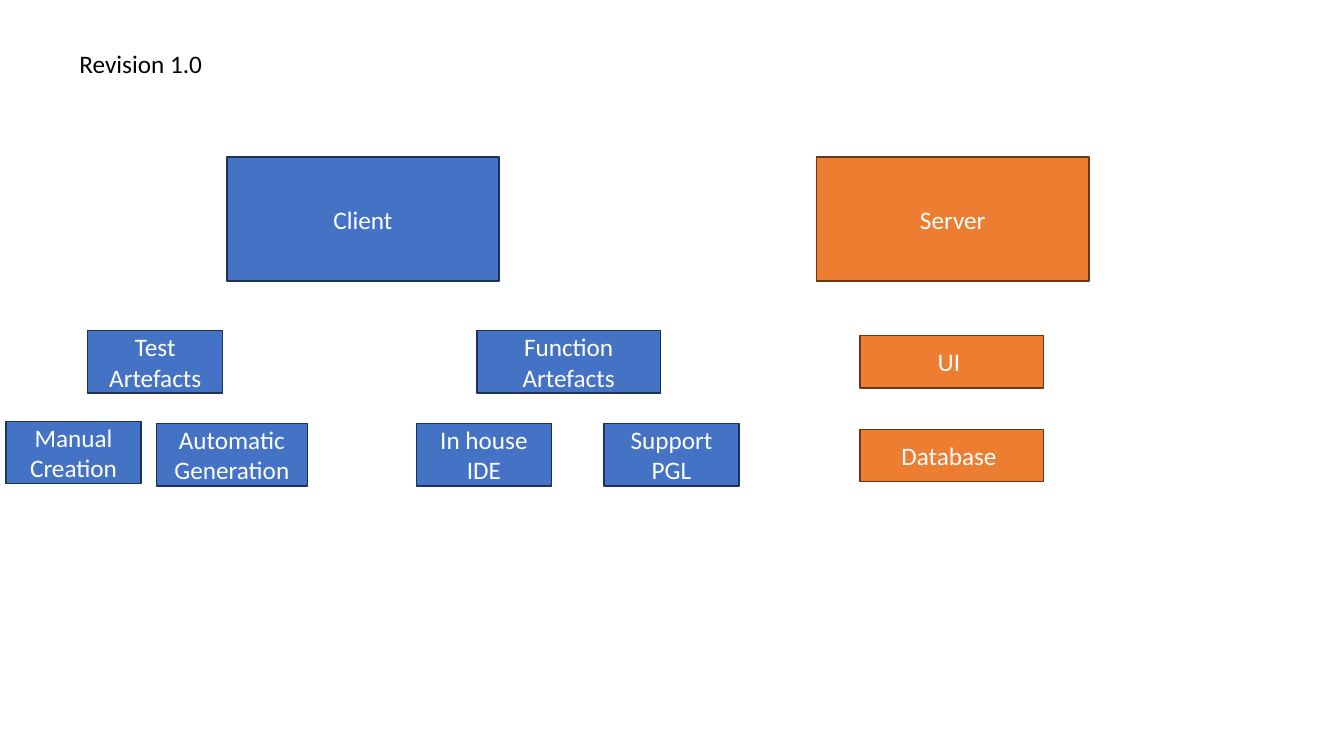
import pptx
import pptx.util
import pptx.dml.color
import pptx.enum.shapes
import pptx.enum.text

Inches = pptx.util.Inches
RGBColor = pptx.dml.color.RGBColor
MSO_ANCHOR = pptx.enum.text.MSO_ANCHOR
PP_ALIGN = pptx.enum.text.PP_ALIGN

BLUE = RGBColor(0x44, 0x72, 0xC4)
NAVY = RGBColor(0x1E, 0x32, 0x56)
ORANGE = RGBColor(0xED, 0x7D, 0x31)
BROWN = RGBColor(0x68, 0x37, 0x15)
WHITE = RGBColor(0xFF, 0xFF, 0xFF)
BLACK = RGBColor(0x00, 0x00, 0x00)

FONT = {"name": "Calibri", "size": pptx.util.Pt(18)}

CLIENT_BOXES = [
    ("Client", 2.25, 1.56, 2.7, 1.23),
    ("Test Artefacts", 0.87, 3.28, 1.34, 0.62),
    ("Function Artefacts", 4.73, 3.28, 1.82, 0.62),
    ("Manual Creation", 0.06, 4.18, 1.34, 0.62),
    ("Automatic Generation", 1.55, 4.2, 1.5, 0.62),
    ("In house IDE", 4.13, 4.2, 1.34, 0.62),
    ("Support PGL", 5.99, 4.2, 1.34, 0.62),
]
SERVER_BOXES = [
    ("Server", 8.1, 1.56, 2.7, 1.23),
    ("UI ", 8.53, 3.33, 1.82, 0.52),
    ("Database ", 8.53, 4.26, 1.82, 0.52),
]


def write_text(tf, text, color, align):
    p = tf.paragraphs[0]
    p.alignment = align
    r = p.add_run()
    r.text = text
    for key, value in FONT.items():
        setattr(r.font, key, value)
    r.font.color.rgb = color


def add_box(s, text, left, top, width, height, fill, line):
    sp = s.shapes.add_shape(
        pptx.enum.shapes.MSO_SHAPE.RECTANGLE,
        Inches(left), Inches(top), Inches(width), Inches(height),
    )
    sp.shadow.inherit = False
    sp.fill.solid()
    sp.fill.fore_color.rgb = fill
    sp.line.color.rgb = line
    sp.line.width = pptx.util.Pt(1)
    tf = sp.text_frame
    tf.word_wrap = True
    tf.vertical_anchor = MSO_ANCHOR.MIDDLE
    write_text(tf, text, WHITE, PP_ALIGN.CENTER)


def add_label(s, text, left, top, width, height):
    sp = s.shapes.add_textbox(
        Inches(left), Inches(top), Inches(width), Inches(height)
    )
    tf = sp.text_frame
    tf.word_wrap = False
    tf.auto_size = pptx.enum.text.MSO_AUTO_SIZE.SHAPE_TO_FIT_TEXT
    write_text(tf, text, BLACK, PP_ALIGN.LEFT)


def main():
    prs = pptx.Presentation()
    prs.slide_width = Inches(13.33)
    prs.slide_height = Inches(7.5)
    s = prs.slides.add_slide(prs.slide_layouts[6])
    add_label(s, "Revision 1.0", 0.69, 0.43, 1.43, 0.4)
    for boxes, fill, line in (
        (CLIENT_BOXES, BLUE, NAVY),
        (SERVER_BOXES, ORANGE, BROWN),
    ):
        for box in boxes:
            add_box(s, *box, fill, line)
    prs.save("out.pptx")


main()
